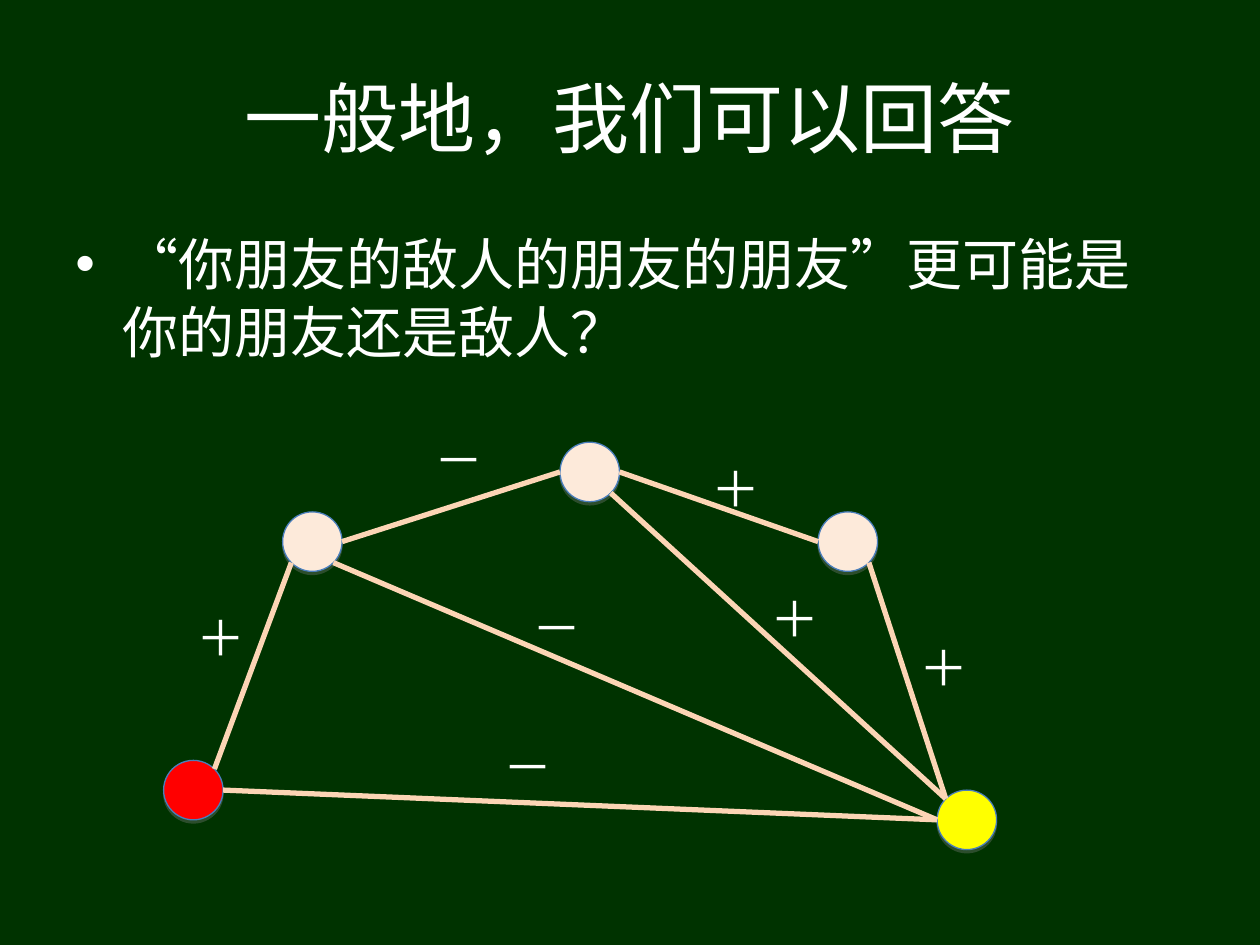
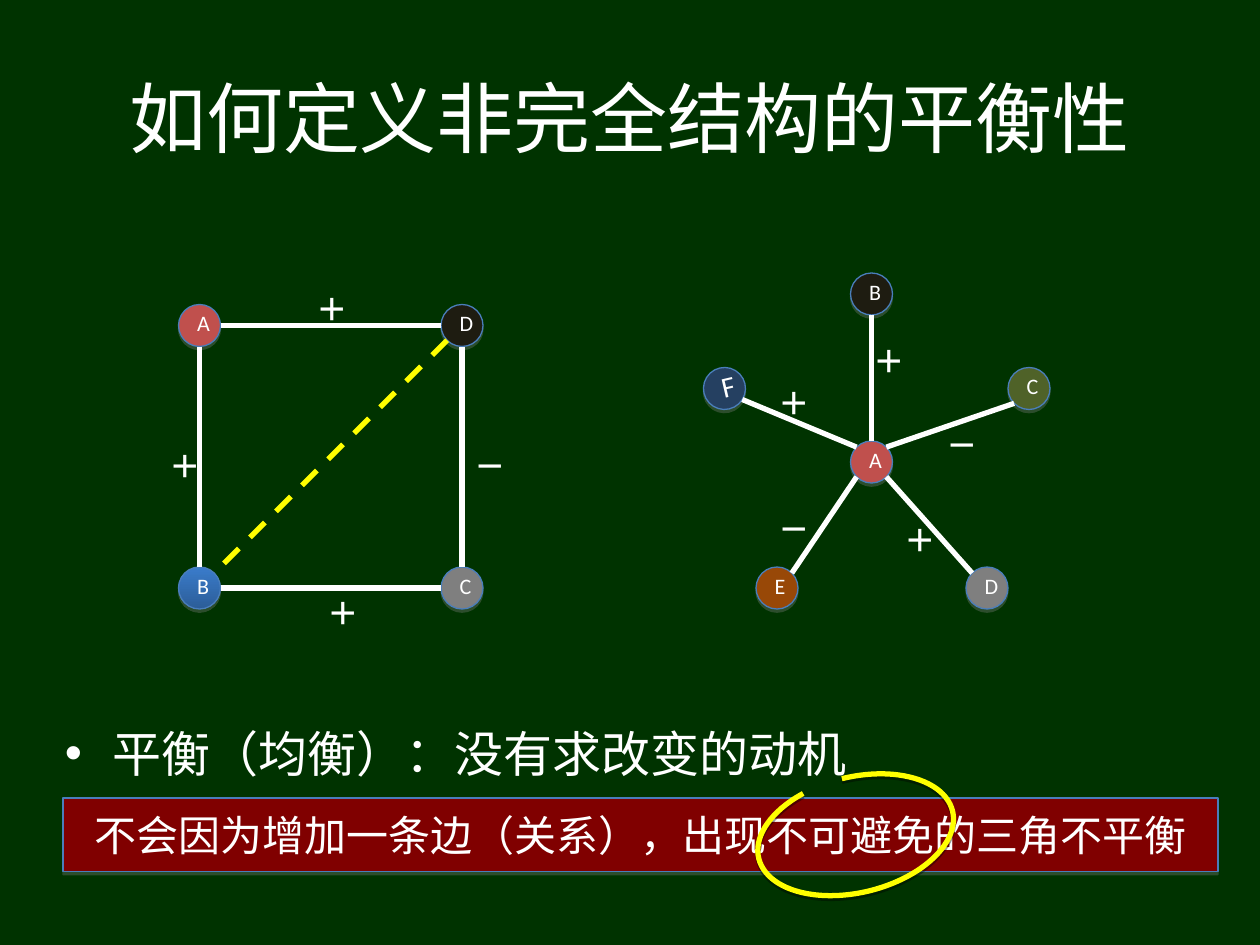
from collections import namedtuple
from math import cos, radians, sin

from lxml.etree import SubElement
from pptx import Presentation
from pptx.dml.color import RGBColor
from pptx.enum.dml import MSO_LINE
from pptx.enum.lang import MSO_LANGUAGE_ID
from pptx.enum.shapes import MSO_CONNECTOR, MSO_SHAPE
from pptx.enum.text import MSO_ANCHOR, PP_ALIGN
from pptx.oxml.ns import qn
from pptx.util import Pt

CHINESE, LATIN, SIGN = "Noto Sans CJK SC", "Calibri", "Arial"
GREEN, WHITE, YELLOW, RED = "003300", "FFFFFF", "FFFF00", "FF0000"
CREAM, PEACH, OUTLINE, MAROON = "FDEADA", "FCD5B5", "4A7EBB", "800000"
ROSE, BLACK, GRAY, NAVY = "C0504D", "1E1C11", "7F7F7F", "254061"
BROWN, OLIVE, BLUES = "984807", "4F6228", ("3A7CCB", "2C5D98")

EAST, SOUTHEAST, SOUTH, SOUTHWEST, WEST, NORTHWEST, NORTH, NORTHEAST = range(0, 360, 45)
PLUS, MINUS = "＋", "－"

Node = namedtuple("Node", "x y radius turn")


def color(value):
    return RGBColor.from_string(value)


def apply(target, values):
    for name, value in values.items():
        setattr(target, name, value)


def add_span(para, text, font, size, bold=False):
    span = para.add_run()
    span.text = text
    apply(span.font, {"name": font, "size": Pt(size), "bold": bold,
                      "language_id": MSO_LANGUAGE_ID.SIMPLIFIED_CHINESE})
    span.font.color.rgb = color(WHITE)
    SubElement(span._r.get_or_add_rPr(), qn("a:ea"), typeface=font)


def add_box(page, left, top, width, height, anchor=MSO_ANCHOR.TOP):
    box = page.shapes.add_textbox(Pt(left), Pt(top), Pt(width), Pt(height))
    apply(box.text_frame, {"word_wrap": True, "vertical_anchor": anchor})
    return box.text_frame.paragraphs[0]


def add_title(page, text):
    para = add_box(page, 36, 21.6, 648, 90, MSO_ANCHOR.MIDDLE)
    para.alignment = PP_ALIGN.CENTER
    add_span(para, text, CHINESE, 44)


def add_bullet(page, left, top, width, height, size, line_height, spans):
    para = add_box(page, left, top, width, height)
    para.line_spacing = Pt(line_height)
    properties = para._p.get_or_add_pPr()
    properties.set("marL", str(Pt(27)))
    properties.set("indent", str(Pt(-27)))
    tint = SubElement(properties, qn("a:buClr"))
    SubElement(tint, qn("a:srgbClr"), val=WHITE)
    SubElement(properties, qn("a:buFont"), typeface=SIGN)
    SubElement(properties, qn("a:buChar"), char="•")
    for text, font in spans:
        add_span(para, text, font, size)


def add_shadow(shape, tint="808080", opacity=35, distance=1.8):
    shape.shadow.inherit = False
    effects = shape._element.spPr.find(qn("a:effectLst"))
    shadow = SubElement(effects, qn("a:outerShdw"), blurRad="0", dist=str(Pt(distance)),
                        dir="5400000", algn="ctr", rotWithShape="0")
    shade = SubElement(shadow, qn("a:srgbClr"), val=tint)
    SubElement(shade, qn("a:alpha"), val=str(opacity * 1000))


def paint(shape, fill):
    if isinstance(fill, tuple):
        shape.fill.gradient()
        shape.fill.gradient_angle = 270
        for stop, value in zip(shape.fill.gradient_stops, fill):
            stop.color.rgb = color(value)
    else:
        shape.fill.solid()
        shape.fill.fore_color.rgb = color(fill)
    shape.line.color.rgb = color(OUTLINE)
    shape.line.width = Pt(0.75)
    add_shadow(shape)


def add_node(page, x, y, diameter, fill, label="", size=12.6, spacing=0.8, turn=0):
    radius = diameter / 2
    circle = page.shapes.add_shape(MSO_SHAPE.OVAL, Pt(x - radius), Pt(y - radius),
                                   Pt(diameter), Pt(diameter))
    circle.rotation = turn
    paint(circle, fill)
    if label:
        para = circle.text_frame.paragraphs[0]
        apply(para, {"alignment": PP_ALIGN.CENTER, "line_spacing": spacing})
        add_span(para, label, LATIN, size)
    return Node(x, y, radius, turn)


def rim(node, side):
    angle = radians(side + node.turn)
    return Pt(node.x + node.radius * cos(angle)), Pt(node.y + node.radius * sin(angle))


def add_edge(page, start, start_side, end, end_side, tint, dash=None):
    edge = page.shapes.add_connector(MSO_CONNECTOR.STRAIGHT,
                                     *rim(start, start_side), *rim(end, end_side))
    edge.line.color.rgb = color(tint)
    apply(edge.line, {"width": Pt(3), "dash_style": dash})
    SubElement(edge._element.spPr, qn("a:effectLst"))


def add_signs(page, places, width, height, size, bold=False):
    for text, left, top in places:
        para = add_box(page, left, top, width, height)
        add_span(para, text, SIGN, size, bold)


def add_conclusion(page, text):
    band = page.shapes.add_shape(MSO_SHAPE.RECTANGLE, Pt(36), Pt(456), Pt(660), Pt(42))
    paint(band, MAROON)
    band.text_frame.vertical_anchor = MSO_ANCHOR.MIDDLE
    para = band.text_frame.paragraphs[0]
    para.alignment = PP_ALIGN.CENTER
    add_span(para, text, CHINESE, 24)


def add_highlight(page):
    ring = page.shapes.add_shape(MSO_SHAPE.ARC, Pt(432), Pt(444), Pt(114), Pt(66))
    for index, angle in enumerate((270, 232)):
        ring.adjustments[index] = angle * 0.6
    ring.rotation = 346.2
    ring.fill.background()
    ring.line.color.rgb = color(YELLOW)
    ring.line.width = Pt(3)
    add_shadow(ring, "000000", 38, 1.6)


def add_page(deck, title):
    page = deck.slides.add_slide(deck.slide_layouts[6])
    page.background.fill.solid()
    page.background.fill.fore_color.rgb = color(GREEN)
    add_title(page, title)
    return page


def build_question(deck):
    page = add_page(deck, "一般地，我们可以回答")
    add_bullet(page, 36, 127, 648, 104, 32, 39,
               [("“你朋友的敌人的朋友的朋友”更可能是你的朋友还是敌人？", CHINESE)])
    you, friend, last, enemy, target = [
        add_node(page, x, y, 34, fill) for x, y, fill in (
            (110.5, 451.5, RED), (178.5, 309.5, CREAM), (484.5, 309.5, CREAM),
            (337, 269.7, CREAM), (552.5, 468.5, YELLOW))]
    for edge in (
            (you, NORTHEAST, friend, SOUTHWEST), (friend, EAST, enemy, WEST),
            (last, SOUTHEAST, target, NORTHWEST), (enemy, EAST, last, WEST),
            (enemy, SOUTHEAST, target, NORTHWEST), (friend, SOUTHEAST, target, WEST),
            (you, EAST, target, WEST)):
        add_edge(page, *edge, PEACH)
    add_signs(page, [
        (PLUS, 518.4, 360.7), (PLUS, 105.1, 343.4), (MINUS, 241.2, 241.9),
        (PLUS, 399.6, 258.5), (PLUS, 433.4, 332.6), (MINUS, 297.4, 337.7),
        (MINUS, 280.8, 417.6)], 34, 41, 28)


def build_square(page):
    left, right, top, bottom = 114, 264, 186, 336
    a = add_node(page, left, top, 24, ROSE, "A")
    b = add_node(page, left, bottom, 24, BLUES, "B")
    c = add_node(page, right, bottom, 24, GRAY, "C")
    d = add_node(page, right, top, 24, BLACK, "D")
    for edge in ((d, SOUTH, c, NORTH), (a, SOUTH, b, NORTH),
                 (b, EAST, c, WEST), (a, EAST, d, WEST)):
        add_edge(page, *edge, WHITE)
    add_edge(page, d, SOUTHWEST, b, NORTHEAST, YELLOW, MSO_LINE.DASH)
    return [(MINUS, 264, 252), (PLUS, 90, 252), (PLUS, 180, 336), (PLUS, 174, 162)]


def build_star(page):
    a = add_node(page, 498, 264, 24, ROSE, "A")
    b = add_node(page, 498, 168, 24, BLACK, "B")
    f = add_node(page, 414, 222, 24, NAVY, "F", 16.6, 0.9, 346.8)
    e = add_node(page, 444, 336, 24, BROWN, "E")
    d = add_node(page, 564, 336, 24, GRAY, "D")
    c = add_node(page, 588, 222, 24, OLIVE, "C")
    for edge in ((f, SOUTHEAST, a, NORTHWEST), (b, SOUTH, a, NORTH),
                 (c, SOUTHWEST, a, NORTHEAST), (a, SOUTHEAST, d, NORTHWEST),
                 (e, NORTHEAST, a, SOUTHWEST)):
        add_edge(page, *edge, WHITE)
    return [(PLUS, 492, 192), (PLUS, 510, 294), (PLUS, 438, 216),
            (MINUS, 438, 288), (MINUS, 534, 240)]


def build_definition(deck):
    page = add_page(deck, "如何定义非完全结构的平衡性")
    add_bullet(page, 30, 409.5, 660, 54, 28, 34, [
        ("平衡（均衡）", CHINESE), ("：", LATIN), ("没有求改变的动机", CHINESE)])
    signs = build_square(page) + build_star(page)
    add_signs(page, signs, 24, 29, 18, True)
    add_conclusion(page, "不会因为增加一条边（关系），出现不可避免的三角不平衡")
    add_highlight(page)


def main():
    deck = Presentation()
    apply(deck, {"slide_width": Pt(720), "slide_height": Pt(540)})
    build_question(deck)
    build_definition(deck)
    deck.save("out.pptx")


if __name__ == "__main__":
    main()
